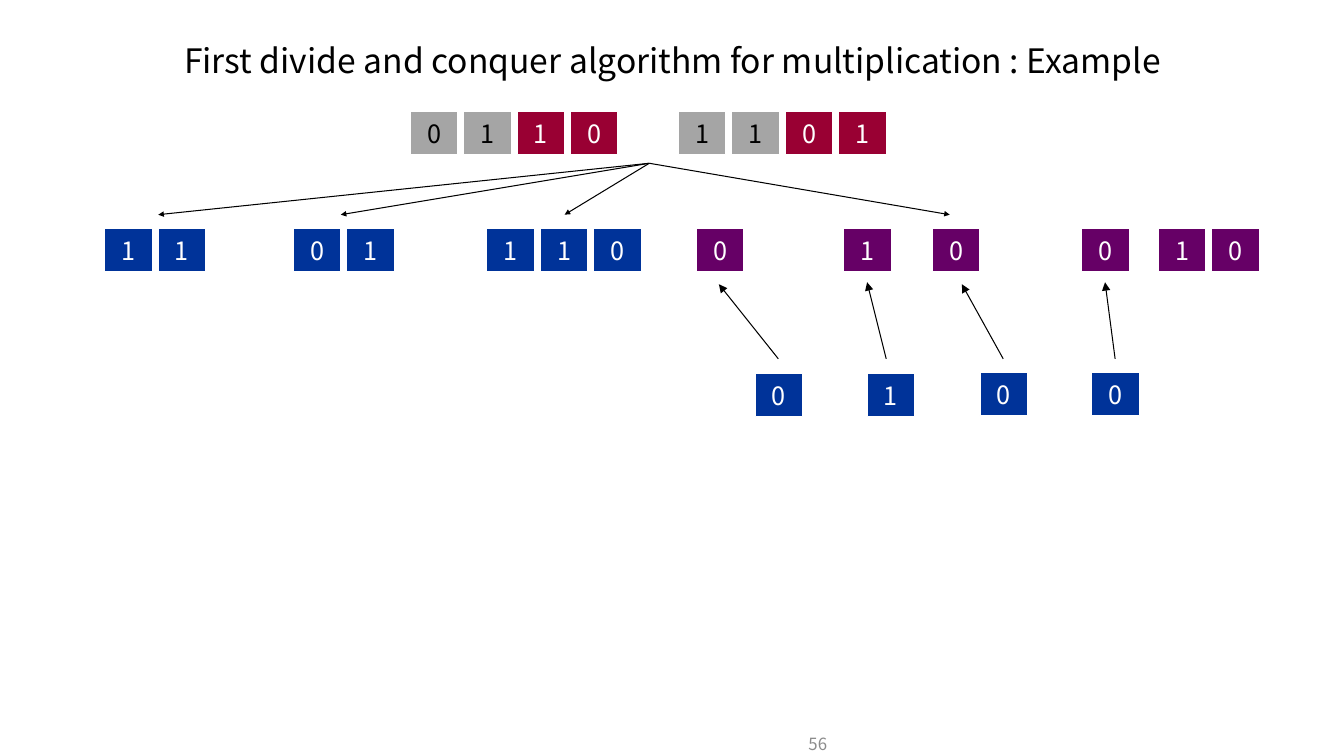
from pptx import Presentation
from pptx.dml.color import RGBColor
from pptx.enum.shapes import MSO_CONNECTOR as CONN, MSO_SHAPE as SHAPE
from pptx.enum.text import MSO_ANCHOR as ANCHOR, PP_ALIGN as ALIGN
from pptx.oxml.ns import qn
from pptx.util import Inches, Pt
from lxml import etree

BLACK = RGBColor(0x00, 0x00, 0x00)
WHITE = RGBColor(0xFF, 0xFF, 0xFF)
GRAY = RGBColor(0xA5, 0xA5, 0xA5)
NUMBER_GRAY = RGBColor(0x8C, 0x8C, 0x8C)
RED = RGBColor(0x99, 0x00, 0x33)
BLUE = RGBColor(0x00, 0x33, 0x99)
PURPLE = RGBColor(0x66, 0x00, 0x66)
FONT = "Noto Sans CJK SC"
TILE_W, TILE_H, PITCH = 0.47, 0.42, 0.53


def write(sp, text, size=18, color=WHITE, align=ALIGN.CENTER,
          anchor=ANCHOR.MIDDLE, inset=(0.1, 0.05), wrap=False, spacing=None):
    tf = sp.text_frame
    tf.word_wrap = wrap
    tf.vertical_anchor = anchor
    tf.margin_left = tf.margin_right = Inches(inset[0])
    tf.margin_top = tf.margin_bottom = Inches(inset[1])
    p = tf.paragraphs[0]
    p.alignment = align
    p.line_spacing = spacing
    r = p.add_run()
    r.text = text
    r.font.name, r.font.size, r.font.color.rgb = FONT, Pt(size), color
    r.font._element.append(etree.Element(qn("a:ea"), typeface=FONT))


def arrow(shapes, x1, y1, x2, y2, head):
    line = shapes.add_connector(CONN.STRAIGHT, Inches(x1), Inches(y1),
                                Inches(x2), Inches(y2))
    line.line.color.rgb = BLACK
    line.line.width = Pt(0.75)
    etree.SubElement(line.line._get_or_add_ln(), qn("a:tailEnd"),
                     type="triangle", w=head, len=head)
    etree.SubElement(line._element.spPr, qn("a:effectLst"))


prs = Presentation()
prs.slide_width, prs.slide_height = Inches(13.33), Inches(7.5)
slide = prs.slides.add_slide(prs.slide_layouts[5])
shapes = slide.shapes

# Title
title = shapes.title
title.left, title.top = Inches(1.67), Inches(0.29)
title.width, title.height = Inches(10), Inches(0.5)
write(title, "First divide and conquer algorithm for multiplication : Example",
      size=24, color=BLACK, anchor=ANCHOR.BOTTOM, inset=(0, 0), wrap=True,
      spacing=0.7)

# Slide number
number = shapes.add_textbox(Inches(7.92), Inches(7.25), Inches(2.08), Inches(0.25))
write(number, "56", size=12, color=NUMBER_GRAY, align=ALIGN.LEFT, wrap=True)

# Arrows from the factors to the partial products
for x, y in [(1.57, 2.13), (3.38, 2.13), (5.6, 2.13), (9.42, 2.13)]:
    arrow(shapes, 6.44, 1.62, x, y, "sm")

# Digit tiles: left, top, digits, fill, font colour
groups = [
    # Factors, split into high and low halves
    (4.07, 1.11, "01", GRAY, BLACK),
    (5.13, 1.11, "10", RED, WHITE),
    (6.73, 1.11, "11", GRAY, BLACK),
    (7.79, 1.11, "01", RED, WHITE),
    # Operands of the four products
    (1.04, 2.27, "11", BLUE, WHITE),
    (2.91, 2.27, "01", BLUE, WHITE),
    (4.83, 2.27, "110", BLUE, WHITE),
    (6.91, 2.27, "0", PURPLE, WHITE),
    (8.37, 2.27, "1", PURPLE, WHITE),
    (9.25, 2.27, "0", PURPLE, WHITE),
    (10.73, 2.27, "0", PURPLE, WHITE),
    (11.49, 2.27, "10", PURPLE, WHITE),
    # Single-digit results
    (7.49, 3.71, "0", BLUE, WHITE),
    (8.6, 3.71, "1", BLUE, WHITE),
    (9.72, 3.7, "0", BLUE, WHITE),
    (10.83, 3.7, "0", BLUE, WHITE),
]
for left, top, digits, fill, color in groups:
    for i, digit in enumerate(digits):
        sp = shapes.add_shape(SHAPE.RECTANGLE, Inches(left + i * PITCH),
                              Inches(top), Inches(TILE_W), Inches(TILE_H))
        sp.shadow.inherit = False
        sp.fill.solid()
        sp.fill.fore_color.rgb = fill
        sp.line.color.rgb = WHITE
        sp.line.width = Pt(0.75)
        write(sp, digit, color=color)

# Arrows from the results back up
for x1, x2, y2 in [(7.72, 7.13, 2.82), (8.79, 8.6, 2.8),
                   (9.95, 9.54, 2.82), (11.06, 10.96, 2.8)]:
    arrow(shapes, x1, 3.56, x2, y2, "med")

prs.save("out.pptx")
